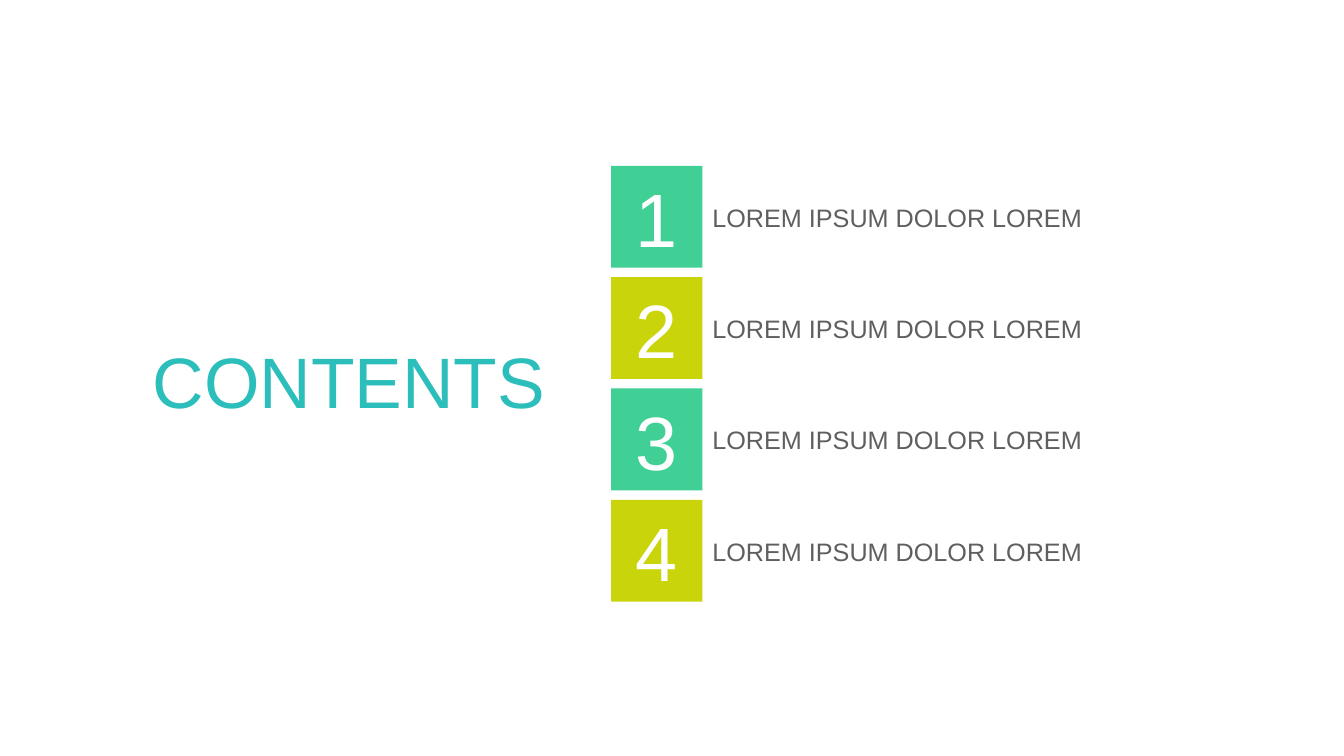
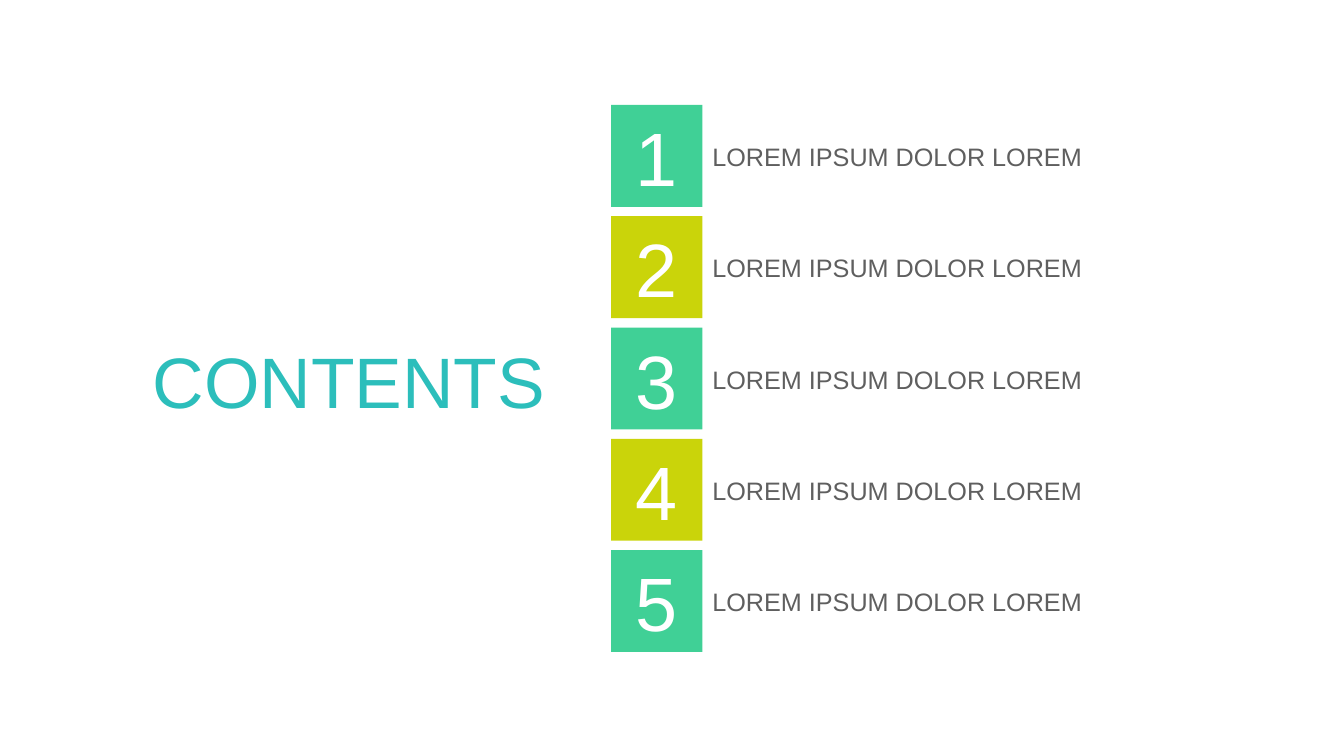
"""Build two contents slides with four and five numbered entries."""
from dataclasses import dataclass

from pptx import Presentation
from pptx.dml.color import RGBColor
from pptx.enum.shapes import MSO_SHAPE
from pptx.enum.text import MSO_ANCHOR, PP_ALIGN
from pptx.util import Emu, Pt

RECT = MSO_SHAPE.RECTANGLE
LEFT, CENTER = PP_ALIGN.LEFT, PP_ALIGN.CENTER
TOP, MIDDLE, BOTTOM = MSO_ANCHOR.TOP, MSO_ANCHOR.MIDDLE, MSO_ANCHOR.BOTTOM
PX = 9525


@dataclass(frozen=True)
class Theme:
    font: str = "Arial"
    title: str = "2CBEBB"
    tiles: tuple = ("40D096", "CAD40A")
    number: str = "FFFFFF"
    label: str = "5F5F5F"
    title_size: int = 51
    number_size: int = 54
    label_size: int = 18


THEME = Theme()


def box(*lengths):
    return [Emu(n * PX) for n in lengths]


def write(shape, text, *, size, color, align=LEFT, anchor=TOP, spacing=None):
    tf = shape.text_frame
    tf.word_wrap = True
    tf.vertical_anchor = anchor
    p = tf.paragraphs[0]
    p.alignment = align
    p.line_spacing = spacing
    r = p.add_run()
    r.text = text
    r.font.name = THEME.font
    r.font.size = Pt(size)
    r.font.color.rgb = RGBColor.from_string(color)


TILE_X, TILE_W, TILE_H, PITCH = 582, 87, 97, 106
LABEL_DY, LABEL_W, LABEL_H = 28, 504, 40
ENTRY = "LOREM IPSUM DOLOR LOREM"
SLIDES = [(158, [ENTRY] * 4), (100, [ENTRY] * 5)]

prs = Presentation()
prs.slide_width, prs.slide_height = box(1280, 720)
title_only = prs.slide_layouts[5]

for top, entries in SLIDES:
    s = prs.slides.add_slide(title_only)
    title = s.shapes.title
    title.left, title.top, title.width, title.height = box(119, 314, 427, 107)
    write(title, "CONTENTS", size=THEME.title_size, color=THEME.title,
          align=CENTER, anchor=MIDDLE, spacing=0.9)

    for i, entry in enumerate(entries):
        y = top + i * PITCH
        group = s.shapes.add_group_shape()
        sp = group.shapes.add_shape(RECT, *box(TILE_X, y, TILE_W, TILE_H))
        sp.shadow.inherit = False
        sp.fill.solid()
        sp.fill.fore_color.rgb = RGBColor.from_string(THEME.tiles[i % 2])
        sp.line.fill.background()
        write(sp, str(i + 1), size=THEME.number_size, color=THEME.number,
              align=CENTER, anchor=BOTTOM)

        label = group.shapes.add_textbox(
            *box(TILE_X + TILE_W, y + LABEL_DY, LABEL_W, LABEL_H))
        write(label, entry, size=THEME.label_size, color=THEME.label, spacing=Pt(23))

prs.save("out.pptx")
